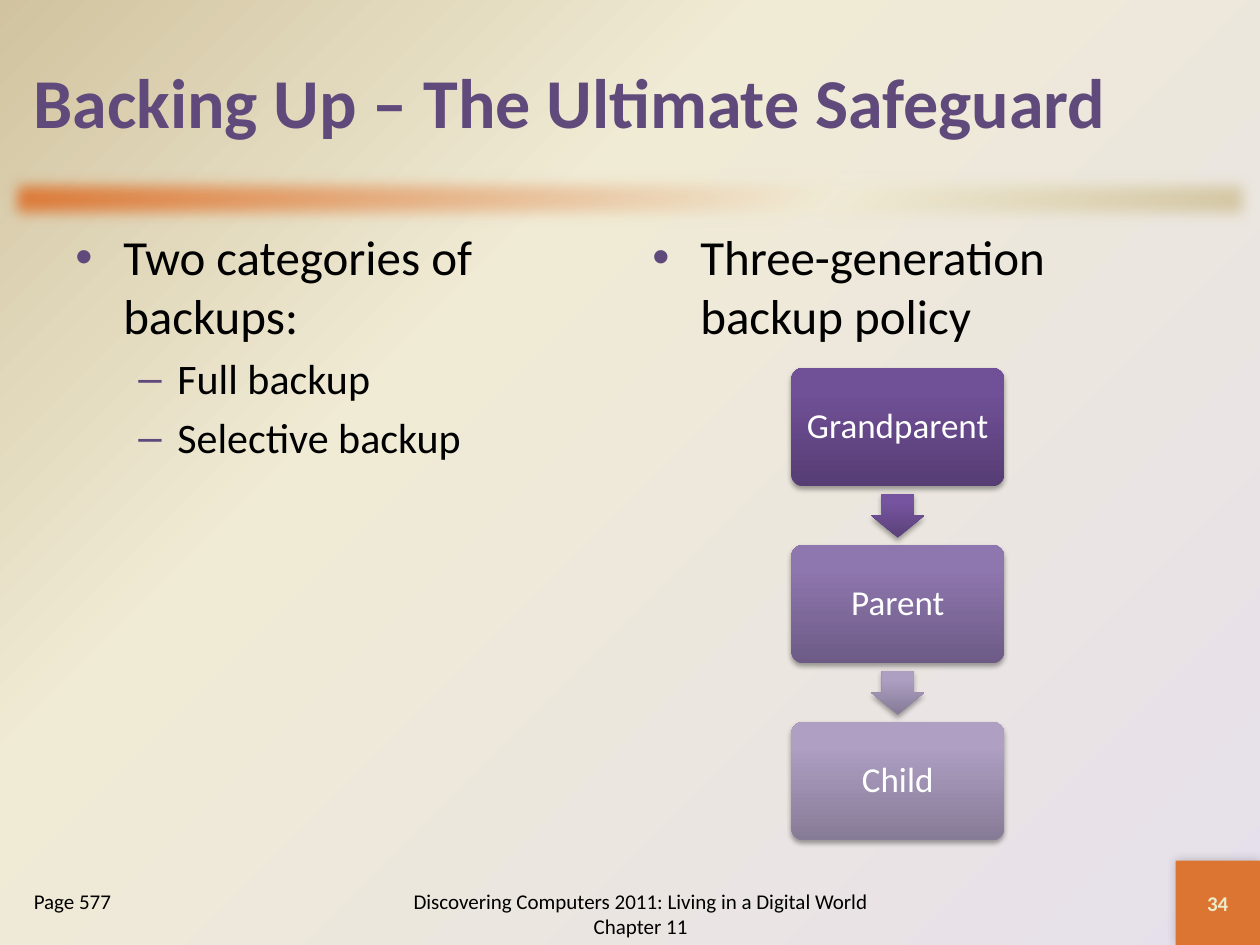
from dataclasses import dataclass

from pptx import Presentation
from pptx.dml.color import RGBColor
from pptx.enum.shapes import MSO_SHAPE
from pptx.enum.text import MSO_ANCHOR, PP_ALIGN
from pptx.oxml import parse_xml
from pptx.oxml.ns import nsdecls, qn
from pptx.util import Inches, Pt

FONT = "Calibri"
PURPLE = "604A7B"
ORANGE = "DB7531"
BLACK = "000000"
WHITE = "FFFFFF"
CREAM = "EEEBCA"


@dataclass
class Bullet:
    text: str
    level: int = 0


@dataclass
class Generation:
    name: str
    colors: tuple[str, str, str]


# Per level: mark, font size, left margin and hanging indent in inches
BULLET_STYLES = [("•", 28, 0.38, 0.38), ("–", 24, 0.81, 0.31)]

GENERATIONS = [
    Generation("Grandparent", ("563D74", "705097", "704F99")),
    Generation("Parent", ("6D5B86", "8E76AE", "8E75B0")),
    Generation("Child", ("867B96", "AE9FC3", "AE9FC4")),
]
ARROW_COLORS = [("5B417A", "76549F", "7653A1"), ("857A96", "AD9FC2", "AE9FC4")]


def rgb(color: str) -> RGBColor:
    return RGBColor.from_string(color)


def gradient(colors: tuple[str, str, str], middle: int, direction: str):
    stops = "".join(
        f'<a:gs pos="{position * 1000}"><a:srgbClr val="{color}"/></a:gs>'
        for position, color in zip((0, middle, 100), colors)
    )
    return parse_xml(
        f'<a:gradFill {nsdecls("a")} rotWithShape="1">'
        f"<a:gsLst>{stops}</a:gsLst>{direction}</a:gradFill>"
    )


def linear(angle: int) -> str:
    return f'<a:lin ang="{angle * 60000}" scaled="0"/>'


def add_effect(shape, effect: str) -> None:
    effects = shape.element.spPr.find(qn("a:effectLst"))
    effects.append(parse_xml(effect))


def add_shadow(shape, opacity: int, blur: float, distance: float, angle: int) -> None:
    add_effect(
        shape,
        f'<a:outerShdw {nsdecls("a")} blurRad="{Pt(blur)}" dist="{Pt(distance)}" '
        f'dir="{angle * 60000}" rotWithShape="0"><a:srgbClr val="{BLACK}">'
        f'<a:alpha val="{opacity * 1000}"/></a:srgbClr></a:outerShdw>',
    )


def add_plain_shape(slide, kind, left: float, top: float, width: float, height: float):
    shape = slide.shapes.add_shape(
        kind, Inches(left), Inches(top), Inches(width), Inches(height)
    )
    shape.shadow.inherit = False
    shape.line.fill.background()
    return shape


def fill_gradient(shape, colors: tuple[str, str, str], middle: int, angle: int) -> None:
    line = shape.element.spPr.find(qn("a:ln"))
    line.addprevious(gradient(colors, middle, linear(angle)))


def write(paragraph, text: str, *, size: float, color: str = BLACK,
          bold: bool = False, align=PP_ALIGN.LEFT) -> None:
    paragraph.alignment = align
    run = paragraph.add_run()
    run.text = text
    run.font.name = FONT
    run.font.size = Pt(size)
    run.font.bold = bold
    run.font.color.rgb = rgb(color)


def add_text_box(slide, left: float, top: float, width: float, height: float,
                 anchor=MSO_ANCHOR.TOP):
    box = slide.shapes.add_textbox(
        Inches(left), Inches(top), Inches(width), Inches(height)
    )
    box.text_frame.word_wrap = True
    box.text_frame.vertical_anchor = anchor
    return box.text_frame


def add_bullets(slide, left: float, bullets: list[Bullet]) -> None:
    frame = add_text_box(slide, left, 1.75, 4.42, 4.95)
    for index, bullet in enumerate(bullets):
        mark, size, margin, hanging = BULLET_STYLES[bullet.level]
        paragraph = frame.add_paragraph() if index else frame.paragraphs[0]
        paragraph.level = bullet.level
        if index:
            paragraph.space_before = Pt(size * 0.2)
        properties = paragraph._p.get_or_add_pPr()
        properties.set("marL", str(Inches(margin)))
        properties.set("indent", str(-Inches(hanging)))
        properties.append(parse_xml(
            f'<a:buClr {nsdecls("a")}><a:srgbClr val="{PURPLE}"/></a:buClr>'))
        properties.append(parse_xml(f'<a:buFont {nsdecls("a")} typeface="Arial"/>'))
        properties.append(parse_xml(f'<a:buChar {nsdecls("a")} char="{mark}"/>'))
        write(paragraph, bullet.text, size=size)


def add_generation(slide, generation: Generation, left: float, top: float,
                   width: float, height: float) -> None:
    box = add_plain_shape(slide, MSO_SHAPE.ROUNDED_RECTANGLE, left, top, width, height)
    box.adjustments[0] = 0.1
    fill_gradient(box, generation.colors, 80, 270)
    add_shadow(box, 35, 3.1, 1.8, 90)
    frame = box.text_frame
    frame.word_wrap = True
    frame.vertical_anchor = MSO_ANCHOR.MIDDLE
    frame.margin_left = frame.margin_right = Inches(0.08)
    frame.margin_top = frame.margin_bottom = Inches(0.08)
    paragraph = frame.paragraphs[0]
    paragraph.line_spacing = 0.9
    write(paragraph, generation.name, size=20, color=WHITE, align=PP_ALIGN.CENTER)


def add_down_arrow(slide, colors: tuple[str, str, str], center: float,
                   middle: float) -> None:
    width, height = 0.42, 0.35
    arrow = add_plain_shape(slide, MSO_SHAPE.DOWN_ARROW, center - width / 2,
                            middle - height / 2, width, height)
    arrow.adjustments[0] = 0.6
    arrow.adjustments[1] = 0.5
    fill_gradient(arrow, colors, 80, 270)
    add_shadow(arrow, 35, 3.1, 1.8, 90)


def main() -> None:
    presentation = Presentation()
    presentation.slide_width, presentation.slide_height = Inches(10), Inches(7.5)
    slide = presentation.slides.add_slide(presentation.slide_layouts[6])

    # Background glowing from the bottom right corner
    slide.background.fill.solid()
    background = slide.element.find(".//" + qn("p:bgPr"))
    corner = '<a:path path="circle"><a:fillToRect l="100000" t="100000"/></a:path>'
    background.replace(background[0], gradient(("E6E0EC", "F0EBD5", "D1C39F"), 65, corner))

    # Soft divider and page number square
    divider = add_plain_shape(slide, MSO_SHAPE.RECTANGLE, 0, 1.33, 10, 0.5)
    fill_gradient(divider, (ORANGE, "F0EBD5", "D1C39F"), 65, 45)
    add_effect(divider, f'<a:softEdge {nsdecls("a")} rad="{Pt(9)}"/>')
    square = add_plain_shape(slide, MSO_SHAPE.RECTANGLE, 9.33, 6.83, 0.67, 0.67)
    square.fill.solid()
    square.fill.fore_color.rgb = rgb(ORANGE)
    add_shadow(square, 20, 6, 0, 225)
    square.text_frame.vertical_anchor = MSO_ANCHOR.MIDDLE
    write(square.text_frame.paragraphs[0], "34", size=12, color=CREAM, bold=True,
          align=PP_ALIGN.CENTER)

    # Title and two columns
    title = add_text_box(slide, 0.17, 0.17, 9.67, 1.25, MSO_ANCHOR.MIDDLE)
    write(title.paragraphs[0], "Backing Up – The Ultimate Safeguard", size=40,
          color=PURPLE, bold=True)
    add_bullets(slide, 0.5, [Bullet("Two categories of backups:"),
                             Bullet("Full backup", 1), Bullet("Selective backup", 1)])
    add_bullets(slide, 5.08, [Bullet("Three-generation backup policy")])

    # Generations from top to bottom, with an arrow in each gap
    left, top, width, height, pitch = 6.28, 2.92, 1.69, 0.94, 1.405
    for index, generation in enumerate(GENERATIONS):
        add_generation(slide, generation, left, top + index * pitch, width, height)
    for index, colors in enumerate(ARROW_COLORS):
        add_down_arrow(slide, colors, left + width / 2,
                       top + index * pitch + (height + pitch) / 2)

    # Footer
    footer = add_text_box(slide, 3, 7, 4.17, 0.5, MSO_ANCHOR.MIDDLE)
    write(footer.paragraphs[0],
          "Discovering Computers 2011: Living in a Digital World Chapter 11",
          size=12, align=PP_ALIGN.CENTER)
    page = add_text_box(slide, 0.17, 7, 1.83, 0.5)
    write(page.paragraphs[0], "Page 577", size=12)

    presentation.save("out.pptx")


if __name__ == "__main__":
    main()
